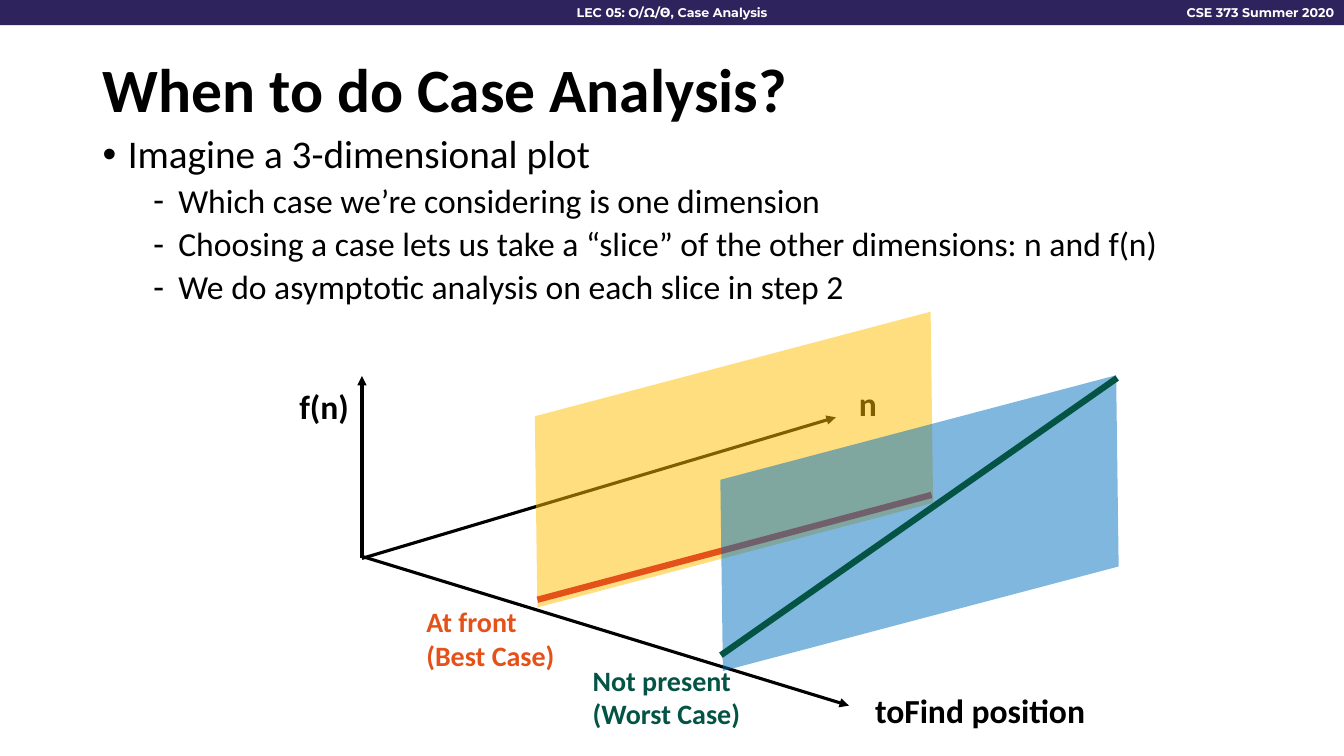
from lxml import etree
from pptx import Presentation, util as u
from pptx.dml.color import RGBColor
from pptx.enum import shapes, text
from pptx.oxml.ns import qn

W, H = 13.33, 7.5
BLACK, WHITE, PURPLE = "000000", "FFFFFF", "2E235D"
ORANGE, GREEN, YELLOW, BLUE = "E45119", "045445", "FFBF00", "0070C0"
LEFT, CENTER, RIGHT = text.PP_ALIGN.LEFT, text.PP_ALIGN.CENTER, text.PP_ALIGN.RIGHT

BAR_H = 0.25
HEADERS = [  # wording, left, width, alignment
    ("CSE 373 Summer 2020", 11.56, 1.77, RIGHT),
    ("LEC 05: O/Ω/𝝝, Case Analysis", 3.28, 6.77, CENTER),
]
TITLE = "When to do Case Analysis?"
BULLETS = [  # level, wording
    (0, "Imagine a 3-dimensional plot"),
    (1, "Which case we’re considering is one dimension"),
    (1, "Choosing a case lets us take a “slice” of the other dimensions: n and f(n)"),
    (1, "We do asymptotic analysis on each slice in step 2"),
]
LEVELS = [("•", 28, 0.25, 10), ("-", 24, 0.75, 5)]  # mark, size, indent, space before
AXES = [  # start, end
    ((3.59, 5.52), (8.42, 7)),
    ((3.59, 5.54), (8.29, 4.14)),
    ((3.59, 5.54), (3.59, 3.73)),
]
LABELS = [  # wording, box, size, colour
    ("f(n)", (2.87, 3.78, 0.7, 0.5), 24, BLACK),
    ("n", (8.42, 3.75, 0.38, 0.5), 24, BLACK),
    ("toFind position", (8.58, 6.8, 2.31, 0.5), 24, BLACK),
    ("At front\n(Best Case)", (4.13, 5.95, 1.49, 0.77), 20, ORANGE),
    ("Not present\n(Worst Case)", (5.78, 6.53, 1.68, 0.77), 20, GREEN),
]
SLICE_W, SLICE_H, SLICE_TURN = 4.52, 1.84, -14.8
SLICES = [  # left, top, fill, curve start, curve end, curve colour
    (5.02, 3.64, YELLOW, (5.33, 5.95), (9.24, 4.91), ORANGE),
    (6.86, 4.27, BLUE, (7.15, 6.5), (11.08, 3.75), GREEN),
]


def rgb(color):
    return RGBColor.from_string(color)


def inches(*lengths):
    return [u.Inches(n) for n in lengths]


def add_text(s, wording, box, size, color=BLACK, bold=True, font="Calibri",
             align=LEFT, wrap=True):
    tf = s.shapes.add_textbox(*inches(*box)).text_frame
    tf.word_wrap = wrap
    tf.text = wording
    for p in tf.paragraphs:
        p.alignment = align
        for r in p.runs:
            r.font.name, r.font.size, r.font.bold = font, u.Pt(size), bold
            r.font.color.rgb = rgb(color)
    return tf


def add_line(s, start, end, color, width, arrow=False):
    line = s.shapes.add_connector(shapes.MSO_CONNECTOR.STRAIGHT, *inches(*start, *end))
    line.line.color.rgb = rgb(color)
    line.line.width = u.Pt(width)
    if arrow:
        etree.SubElement(line.line._get_or_add_ln(), qn("a:tailEnd"), type="triangle")
    etree.SubElement(line._element.spPr, qn("a:effectLst"))


def add_block(s, kind, box, color):
    sp = s.shapes.add_shape(kind, *inches(*box))
    sp.shadow.inherit = False
    sp.fill.solid()
    sp.fill.fore_color.rgb = rgb(color)
    sp.line.fill.background()
    return sp


def add_bullets(s):
    tf = add_text(s, "\n".join(line for _, line in BULLETS),
                  (0.92, 1.29, 11.5, 1.96), 24, bold=False)
    for i, (p, (level, _)) in enumerate(zip(tf.paragraphs, BULLETS)):
        mark, size, indent, before = LEVELS[level]
        p.level = level
        p.line_spacing = 0.9
        if i:
            p.space_before = u.Pt(before)
        pPr = p._p.get_or_add_pPr()
        pPr.set("marL", str(u.Inches(indent)))
        pPr.set("indent", str(u.Inches(-0.25)))
        etree.SubElement(pPr, qn("a:buFont"), typeface="Arial")
        etree.SubElement(pPr, qn("a:buChar"), char=mark)
        p.runs[0].font.size = u.Pt(size)


def main():
    prs = Presentation()
    prs.slide_width, prs.slide_height = inches(W, H)
    s = prs.slides.add_slide(prs.slide_layouts[6])

    add_block(s, shapes.MSO_SHAPE.RECTANGLE, (0, 0, W, BAR_H), PURPLE)
    for wording, left, width, align in HEADERS:
        add_text(s, wording, (left, 0, width, BAR_H), 9, WHITE, font="Montserrat", align=align)

    title = add_text(s, TITLE, (0.92, 0.5, 11.5, 0.83), 44)
    title.vertical_anchor = text.MSO_ANCHOR.MIDDLE
    title.paragraphs[0].line_spacing = 0.9
    add_bullets(s)

    for start, end in AXES:
        add_line(s, start, end, BLACK, 2.25, arrow=True)
    for wording, box, size, color in LABELS:
        add_text(s, wording, box, size, color, wrap=False)
    for left, top, fill, start, end, color in SLICES:
        sp = add_block(s, shapes.MSO_SHAPE.PARALLELOGRAM, (left, top, SLICE_W, SLICE_H), fill)
        sp.rotation = SLICE_TURN
        shade = sp._element.spPr.find(qn("a:solidFill"))[0]
        etree.SubElement(shade, qn("a:alpha"), val="50000")
        add_line(s, start, end, color, 4.5)

    prs.save("out.pptx")


if __name__ == "__main__":
    main()
